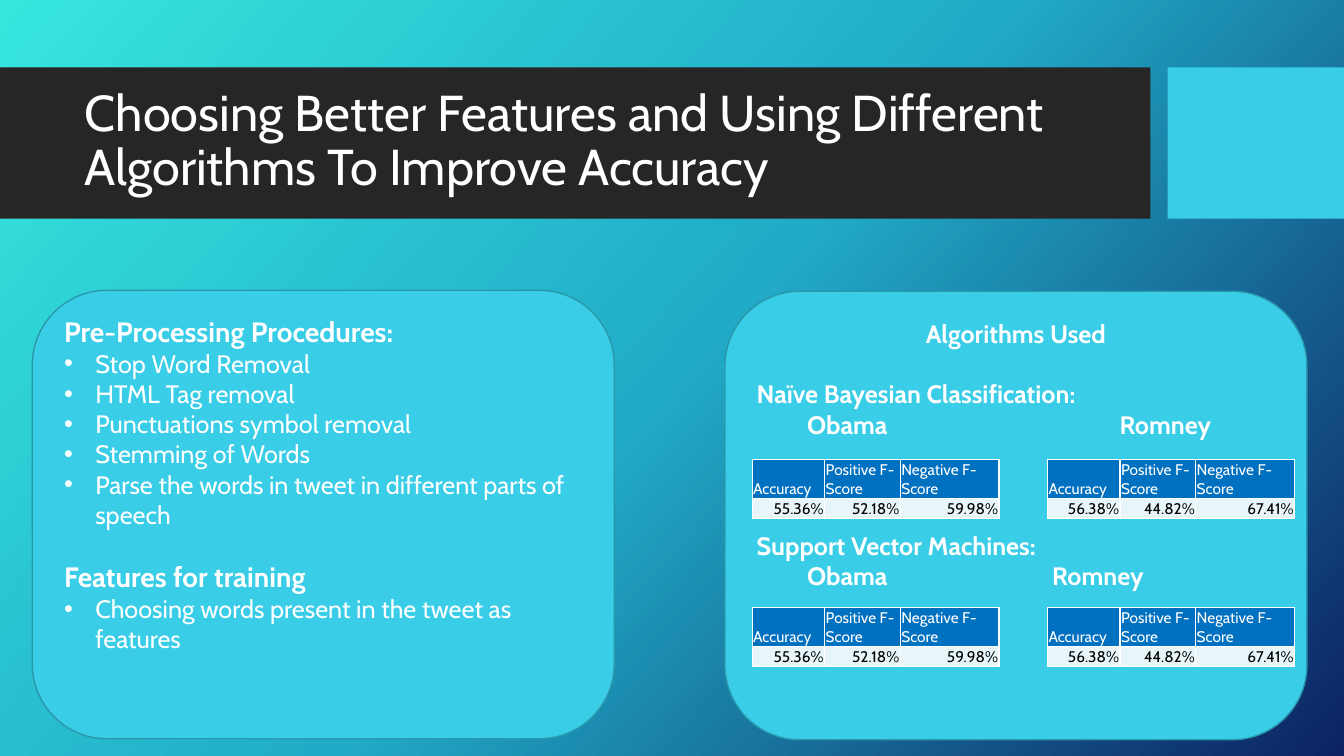
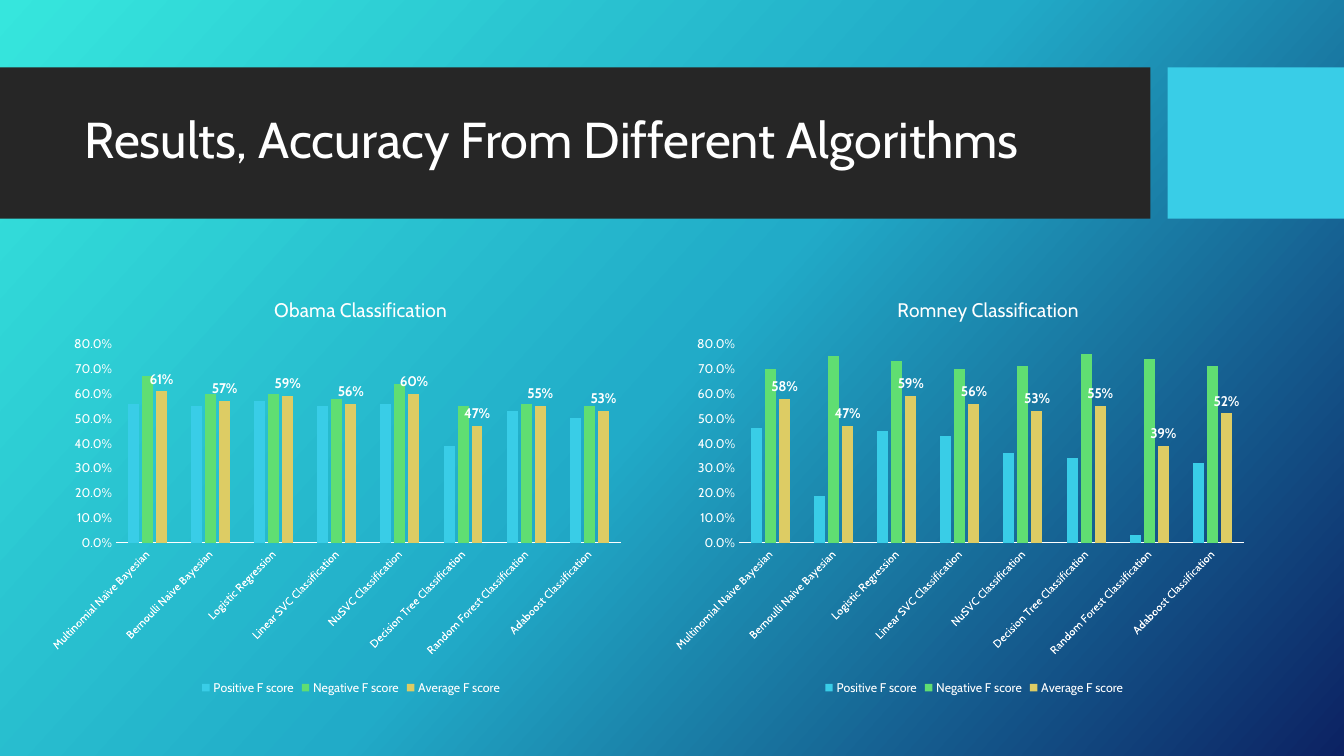
from copy import deepcopy

from pptx import Presentation
from pptx.chart.data import CategoryChartData
from pptx.dml.color import RGBColor
from pptx.enum.chart import XL_CHART_TYPE, XL_LABEL_POSITION, XL_LEGEND_POSITION, XL_TICK_MARK
from pptx.enum.shapes import MSO_SHAPE
from pptx.enum.text import MSO_ANCHOR, MSO_AUTO_SIZE, PP_ALIGN
from pptx.oxml import parse_xml
from pptx.oxml.ns import nsdecls, qn
from pptx.util import Inches, Pt

COLUMNS = CLUSTERED = XL_CHART_TYPE.COLUMN_CLUSTERED
OUTSIDE_END = XL_LABEL_POSITION.OUTSIDE_END
LEGEND_BOTTOM = XL_LEGEND_POSITION.BOTTOM
NO_TICK = XL_TICK_MARK.NONE
RECTANGLE, ROUNDED = MSO_SHAPE.RECTANGLE, MSO_SHAPE.ROUNDED_RECTANGLE
TOP, MIDDLE, BOTTOM = MSO_ANCHOR.TOP, MSO_ANCHOR.MIDDLE, MSO_ANCHOR.BOTTOM
LEFT, CENTER, RIGHT = PP_ALIGN.LEFT, PP_ALIGN.CENTER, PP_ALIGN.RIGHT
NO_AUTOFIT = MSO_AUTO_SIZE.NONE

WHITE = RGBColor(0xFF, 0xFF, 0xFF)
BLACK = RGBColor(0, 0, 0)
CHARCOAL = RGBColor(0x26, 0x26, 0x26)
SKY = RGBColor(0x39, 0xCD, 0xE7)
TEAL = RGBColor(0x2A, 0x98, 0xAB)
GREEN = RGBColor(0x60, 0xDE, 0x72)
GOLD = RGBColor(0xDD, 0xCC, 0x64)
HEADER_BLUE = RGBColor(0, 0x70, 0xC0)
PALE = RGBColor(0xE8, 0xF6, 0xFA)
BACKDROP = (
    (0, RGBColor(0x36, 0xE6, 0xDD)),
    (0.5, RGBColor(0x21, 0xAB, 0xC8)),
    (1, RGBColor(0x0C, 0x22, 0x63)),
)
FONT = "Cabin"
LINE = 21.7


def style_font(font, size, color=WHITE, bold=False):
    font.name, font.size, font.bold = FONT, Pt(size), bold
    font.color.rgb = color


def add_span(para, text, size, color=WHITE, bold=False):
    span = para.add_run()
    span.text = text
    style_font(span.font, size, color, bold)


def set_layout(parent, target="", **shares):
    layout = parent.find(qn("c:layout"))
    if layout is not None:
        parent.remove(layout)
    position = 0 if layout is None else 1 if parent.tag == qn("c:title") else 0
    lengths = "".join(f'<c:{name} val="{share}"/>' for name, share in shares.items())
    parent.insert(position, parse_xml(
        f'<c:layout {nsdecls("c")}><c:manualLayout>{target}'
        f'<c:xMode val="edge"/><c:yMode val="edge"/>{lengths}</c:manualLayout></c:layout>'))


class Slides:
    def __init__(self):
        self.deck = Presentation()
        self.deck.slide_width, self.deck.slide_height = Inches(13.33), Inches(7.5)
        self.layout = self.deck.slide_layouts[5]
        self.slide = None
        self.paint_backdrop()

    def across(self, share):
        return round(self.deck.slide_width * share / 100)

    def down(self, share):
        return round(self.deck.slide_height * share / 100)

    def area(self, left, top, width, height):
        return self.across(left), self.down(top), self.across(width), self.down(height)

    def paint_backdrop(self):
        fill = self.layout.background.fill
        fill.gradient()
        fill.gradient_angle = 318
        first = next(self.layout.element.iter(qn("a:gs")))
        first.addnext(deepcopy(first))
        for stop, (position, color) in zip(fill.gradient_stops, BACKDROP):
            stop.position = position
            stop.color.rgb = color

    def start(self, title):
        self.slide = self.deck.slides.add_slide(self.layout)
        if len(self.deck.slides) == 1:
            for place, color in (((0, 8.93, 85.6, 20), CHARCOAL), ((86.87, 8.93, 13.13, 20), SKY)):
                band = self.block(RECTANGLE, place, color)
                self.layout.shapes.element.insert(2, band.element)
        box = self.slide.shapes.title
        box.left, box.top, box.width, box.height = self.area(5.55, 10.93, 78.85, 15.73)
        frame = box.text_frame
        frame.word_wrap, frame.auto_size, frame.vertical_anchor = True, NO_AUTOFIT, MIDDLE
        para = frame.paragraphs[0]
        para.alignment, para.line_spacing = LEFT, 0.9
        add_span(para, title, 36)

    def block(self, kind, place, color, line=None):
        box = self.slide.shapes.add_shape(kind, *self.area(*place))
        box.shadow.inherit = False
        box.fill.solid()
        box.fill.fore_color.rgb = color
        if line is None:
            box.line.fill.background()
        else:
            box.line.color.rgb = line
            box.line.width = Pt(1)
        return box

    def panel(self, left, top, anchor, bottom=0.05):
        box = self.block(ROUNDED, (left, top, 43.3, 59.33), SKY, TEAL)
        frame = box.text_frame
        frame.word_wrap, frame.vertical_anchor = True, anchor
        frame.margin_bottom = Inches(bottom)
        return frame

    def line(self, frame, text, size=18, bold=True, before=0, align=LEFT, bullet=False, tabs=()):
        para = frame.paragraphs[0]
        if para.runs:
            para = frame.add_paragraph()
        para.alignment, para.space_before = align, Pt(before)
        add_span(para, text, size, bold=bold)
        properties = para._p.get_or_add_pPr()
        if bullet:
            properties.set("marL", str(Inches(0.31)))
            properties.set("indent", str(-Inches(0.31)))
            properties.append(parse_xml(
                f'<a:buFont {nsdecls("a")} typeface="Arial"/>'))
            properties.append(parse_xml(f'<a:buChar {nsdecls("a")} char="\u2022"/>'))
        if tabs:
            stops = "".join(f'<a:tab pos="{Inches(tab)}" algn="l"/>' for tab in tabs)
            properties.append(parse_xml(f'<a:tabLst {nsdecls("a")}>{stops}</a:tabLst>'))

    def table(self, left, top, rows):
        widths, heights = (5.4, 5.63, 7.35), (5.05, 2.53)
        place = self.area(left, top, sum(widths), sum(heights))
        table = self.slide.shapes.add_table(len(rows), len(widths), *place).table
        for column, width in zip(table.columns, widths):
            column.width = self.across(width)
        looks = ((HEADER_BLUE, WHITE, LEFT), (PALE, BLACK, RIGHT))
        for row, height, texts, look in zip(table.rows, heights, rows, looks):
            row.height = self.down(height)
            for cell, text in zip(row.cells, texts):
                self.fill_cell(cell, text, *look)

    def fill_cell(self, cell, text, fill, color, align):
        properties = cell._tc.get_or_add_tcPr()
        for side in "LRTB":
            properties.append(parse_xml(
                f'<a:ln{side} {nsdecls("a")} w="{Pt(1)}"><a:solidFill>'
                f'<a:srgbClr val="{WHITE}"/></a:solidFill></a:ln{side}>'))
        cell.fill.solid()
        cell.fill.fore_color.rgb = fill
        cell.margin_left = cell.margin_right = cell.margin_top = Inches(0.01)
        cell.margin_bottom = 0
        cell.vertical_anchor = BOTTOM
        para = cell.text_frame.paragraphs[0]
        para.alignment = align
        add_span(para, text, 11, color)

    def chart(self, left, title, categories, scores):
        chart_data = CategoryChartData(number_format="0%")
        chart_data.categories = categories
        for name, values in scores:
            chart_data.add_series(name, values)
        place = self.area(left, 36.53, 43.8, 56)
        chart = self.slide.shapes.add_chart(CLUSTERED, *place, chart_data).chart
        style_font(chart.font, 10)
        chart.has_title = True
        add_span(chart.chart_title.text_frame.paragraphs[0], title, 14)
        chart.has_legend = True
        chart.legend.position, chart.legend.include_in_layout = LEGEND_BOTTOM, False
        style_font(chart.legend.font, 9)
        self.style_axes(chart)
        plot = chart.plots[0]
        plot.gap_width, plot.overlap, plot.vary_by_categories = 219, -27, False
        for series, color in zip(plot.series, (SKY, GREEN, GOLD)):
            series.format.fill.solid()
            series.format.fill.fore_color.rgb = color
        labels = plot.series[2].data_labels
        labels.show_value, labels.position = True, OUTSIDE_END
        labels.number_format, labels.number_format_is_linked = "0%", False
        style_font(labels.font, 10, bold=True)
        set_layout(chart.element.xpath("c:chart/c:title")[0], x=0.36, y=0.04)
        set_layout(chart.element.xpath("c:chart/c:plotArea")[0],
                   '<c:layoutTarget val="inner"/>', x=0.09, y=0.16, w=0.88, h=0.47)

    def style_axes(self, chart):
        names, values = chart.category_axis, chart.value_axis
        for axis, size in ((names, 8), (values, 9)):
            axis.major_tick_mark = axis.minor_tick_mark = NO_TICK
            axis.has_major_gridlines = False
            style_font(axis.tick_labels.font, size)
        names.format.line.color.rgb = WHITE
        names.format.line.width = Pt(0.75)
        chart.element.xpath(".//c:catAx/c:txPr/a:bodyPr")[0].set("rot", "-2700000")
        values.format.line.fill.background()
        values.minimum_scale, values.maximum_scale, values.major_unit = 0, 0.8, 0.1
        values.tick_labels.number_format = "0.0%"
        values.tick_labels.number_format_is_linked = False


slides = Slides()

slides.start("Choosing Better Features and Using Different Algorithms To Improve Accuracy")
procedures = slides.panel(2.4, 38.4, MIDDLE, bottom=0.65)
slides.line(procedures, "Pre-Processing Procedures:", 20)
for step in (
    "Stop Word Removal",
    "HTML Tag removal",
    "Punctuations symbol removal",
    "Stemming of Words",
    "Parse the words in tweet in different parts of speech",
):
    slides.line(procedures, step, bold=False, bullet=True)
slides.line(procedures, "Features for training", 20, before=LINE)
slides.line(procedures, "Choosing words present in the tweet as features", bold=False, bullet=True)

algorithms = slides.panel(53.94, 38.53, TOP)
slides.line(algorithms, "Algorithms Used", align=CENTER)
for heading, blank_lines, romney_tab in (
    ("Na\u00efve Bayesian Classification:", 1, 3.6),
    ("Support Vector Machines:", 3, 2.93),
):
    slides.line(algorithms, heading, before=blank_lines * LINE)
    slides.line(algorithms, "\tObama\tRomney", tabs=(0.5, romney_tab))

MEASURES = ("Accuracy", "Positive F-Score", "Negative F-Score")
for table_top in (60.8, 80.4):
    slides.table(55.96, table_top, (MEASURES, ("55.36%", "52.18%", "59.98%")))
    slides.table(77.94, table_top, (MEASURES, ("56.38%", "44.82%", "67.41%")))

slides.start("Results, Accuracy From Different Algorithms")
CLASSIFIERS = (
    "Bernoulli Naive Bayesian",
    "Logistic Regression",
    "Linear SVC Classification",
    "NuSVC Classification",
    "Decision Tree Classification",
    "Random Forest Classification",
    "Adaboost Classification",
)
SCORES = ("Positive F score", "Negative F score", "Average F score")
for chart_left, candidate, first_classifier, results in (
    (3.68, "Obama", "Multinomial Na\u00efve Bayesian", (
        (0.56, 0.55, 0.57, 0.55, 0.56, 0.39, 0.53, 0.5),
        (0.67, 0.6, 0.6, 0.58, 0.64, 0.55, 0.56, 0.55),
        (0.61, 0.57, 0.59, 0.56, 0.6, 0.47, 0.55, 0.53))),
    (50.04, "Romney", "Multinomial Naive Bayesian", (
        (0.46, 0.19, 0.45, 0.43, 0.36, 0.34, 0.03, 0.32),
        (0.7, 0.75, 0.73, 0.7, 0.71, 0.76, 0.74, 0.71),
        (0.58, 0.47, 0.59, 0.56, 0.53, 0.55, 0.39, 0.52))),
):
    slides.chart(chart_left, f"{candidate} Classification",
                 (first_classifier, *CLASSIFIERS), tuple(zip(SCORES, results)))

slides.deck.save("out.pptx")
